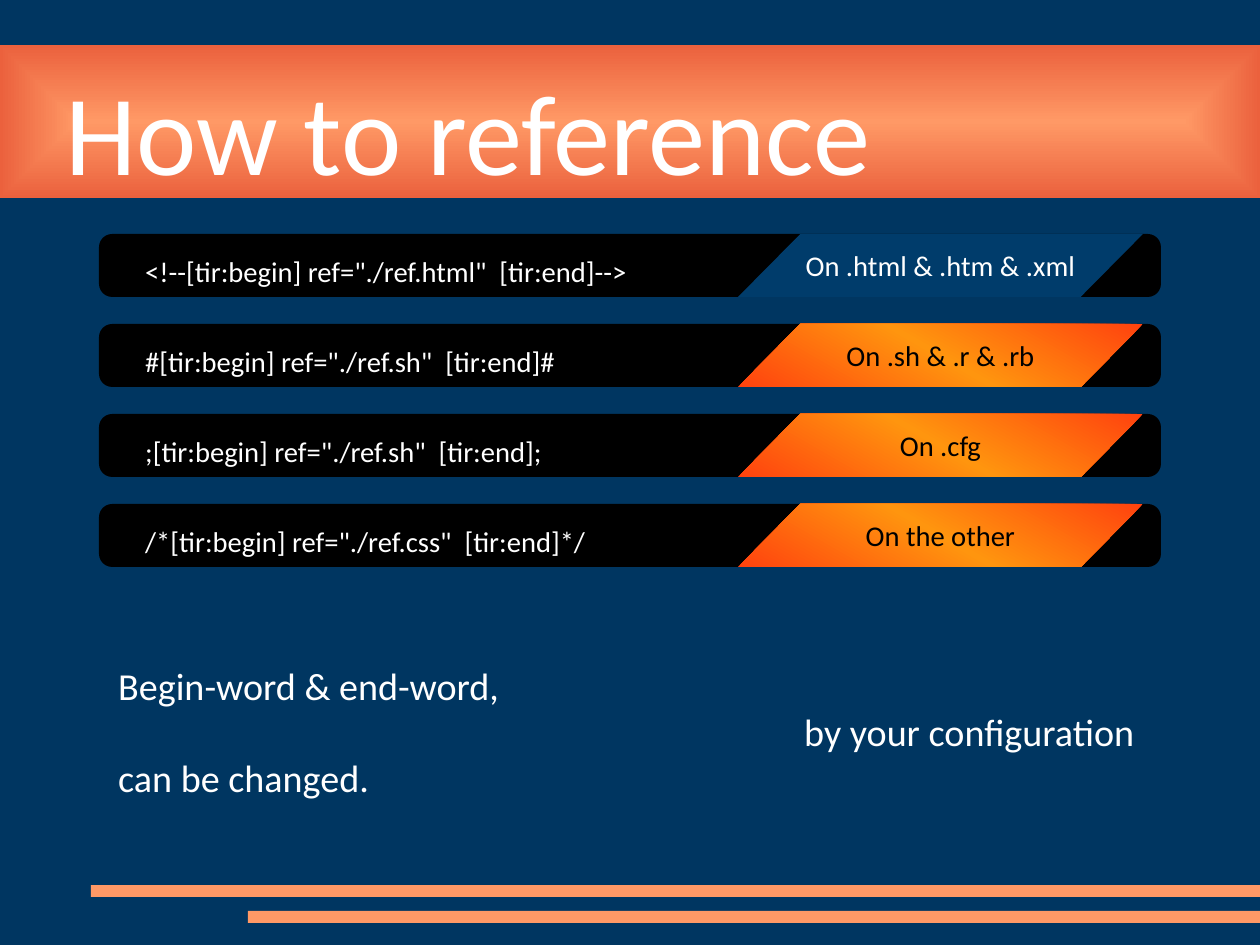
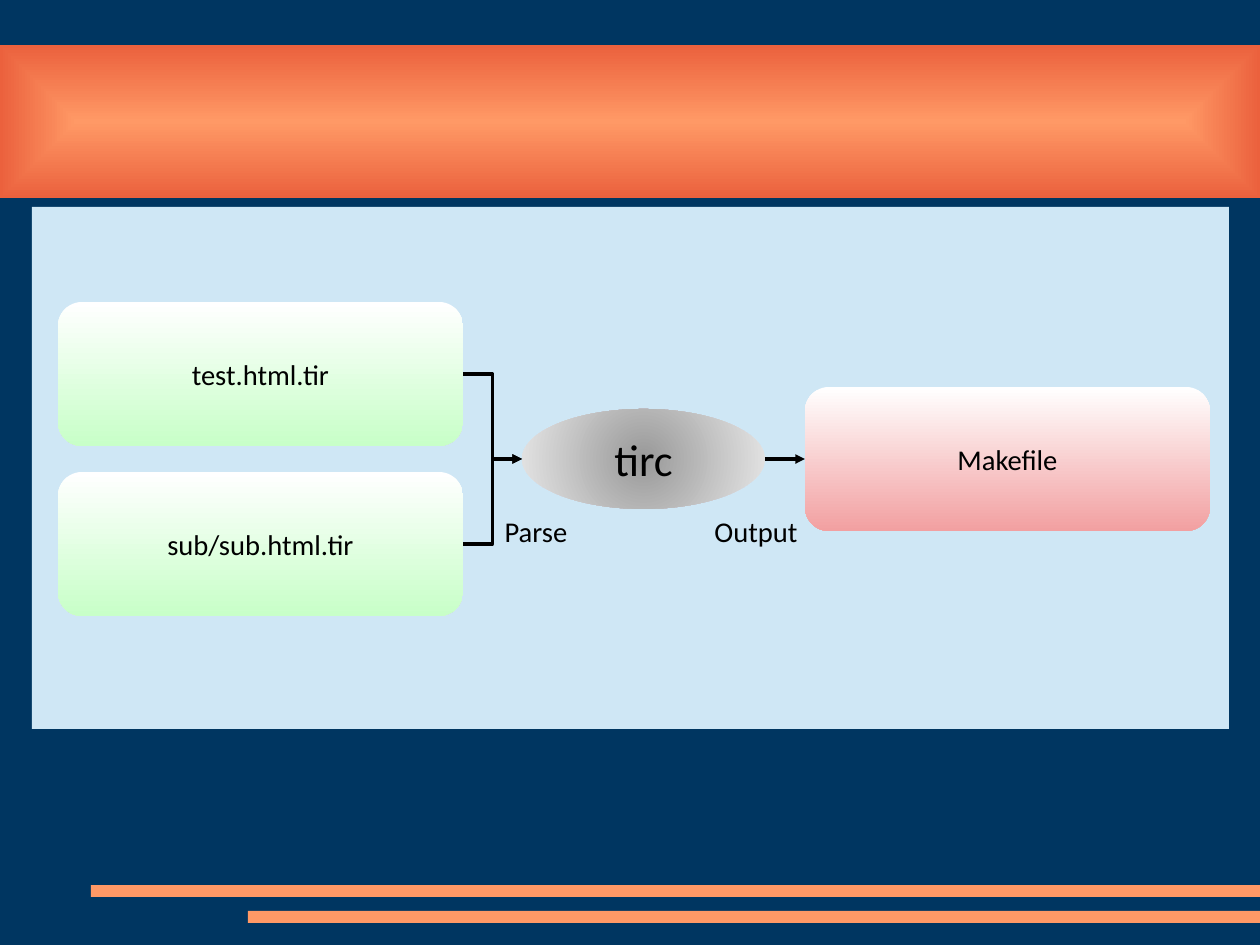
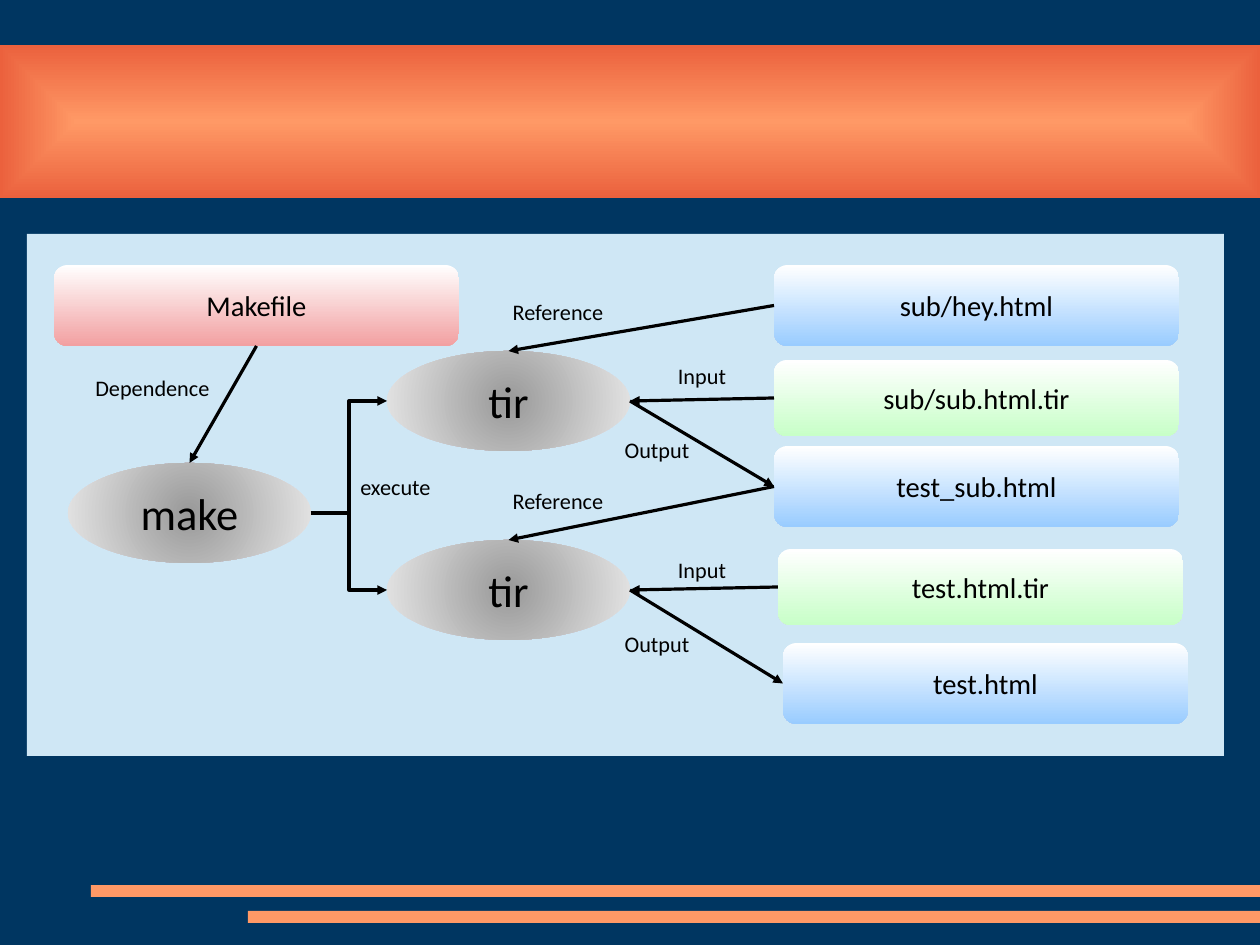
import dataclasses

import lxml.etree
import pptx
import pptx.dml.color
import pptx.enum.shapes
import pptx.enum.text
import pptx.oxml.ns
import pptx.util

PX = 8000  # EMU in one px
PRESET = pptx.enum.shapes.MSO_SHAPE
LINK = pptx.enum.shapes.MSO_CONNECTOR
ANCHOR = pptx.enum.text.MSO_ANCHOR
ALIGN = pptx.enum.text.PP_ALIGN
TOP, LEFT, BOTTOM, RIGHT = range(4)
qn = pptx.oxml.ns.qn


@dataclasses.dataclass(frozen=True)
class Gradient:
    stops: tuple
    angle: int = 0
    shade: str = ""  # "rect" or "circle" spreads from the centre


@dataclasses.dataclass(frozen=True)
class Theme:
    font: str = "Calibri"
    title_size: int = 72
    program_size: int = 28
    note_size: int = 24
    text_size: int = 18
    label_size: int = 14
    background: str = "003661"
    stripe: str = "FF9966"
    panel: str = "CFE7F5"
    dark: str = "000000"
    light: str = "FFFFFF"
    markup_tag: str = "003C6B"
    band: Gradient = Gradient(("FF9966", "EB613D"), shade="rect")
    script_tag: Gradient = Gradient(("FF420E", "FF950E", "FF420E"), 300)
    program: Gradient = Gradient(("999999", "E6E6E6"), shade="circle")
    source: Gradient = Gradient(("FFFFFF", "C8FFC8"), 90)
    page: Gradient = Gradient(("FFFFFF", "99CCFF"), 90)
    makefile: Gradient = Gradient(("FFFFFF", "F2A0A1"), 90)


THEME = Theme()
SLIDE_SIZE = (1260, 945)
FILE_WIDTH = 405
PROGRAM_SIZE = (243, 100)


# ---- Basic parts ----
def px(*lengths):
    return [pptx.util.Emu(length * PX) for length in lengths]


def rgb(code):
    return pptx.dml.color.RGBColor.from_string(code)


def assign(target, values):
    for name, value in values.items():
        setattr(target, name, value)


def within(region, x, y, *size):
    """Place a box relative to the corner of a region."""
    return (region[0] + x, region[1] + y, *size)


def paint(shape, fill):
    if isinstance(fill, str):
        shape.fill.solid()
        shape.fill.fore_color.rgb = rgb(fill)
        return
    shape.fill.background()
    properties = shape.element.spPr
    gradient = lxml.etree.Element(qn("a:gradFill"), rotWithShape="1")
    properties.replace(properties.find(qn("a:noFill")), gradient)
    stops = lxml.etree.SubElement(gradient, qn("a:gsLst"))
    for i, code in enumerate(fill.stops):
        position = 100000 * i // (len(fill.stops) - 1)
        stop = lxml.etree.SubElement(stops, qn("a:gs"), pos=str(position))
        lxml.etree.SubElement(stop, qn("a:srgbClr"), val=code)
    if fill.shade:
        spread = lxml.etree.SubElement(gradient, qn("a:path"))
        spread.set("path", fill.shade)
        lxml.etree.SubElement(spread, qn("a:fillToRect"),
                              {side: "50000" for side in "ltrb"})
    else:
        lxml.etree.SubElement(gradient, qn("a:lin"),
                              ang=str(fill.angle * 60000), scaled="0")


def write(shape, lines, size, color, align=ALIGN.CENTER,
          anchor=ANCHOR.MIDDLE, wrap=True):
    frame = shape.text_frame
    frame.text = lines
    assign(frame, {"word_wrap": wrap, "vertical_anchor": anchor,
                   "auto_size": pptx.enum.text.MSO_AUTO_SIZE.NONE})
    for paragraph in frame.paragraphs:
        paragraph.alignment = align
        for run in paragraph.runs:
            assign(run.font, {"name": THEME.font, "size": pptx.util.Pt(size)})
            run.font.color.rgb = rgb(color)


def add_block(slide, preset, box, fill, text="", size=THEME.text_size,
              color=THEME.dark, adjustment=None):
    block = slide.shapes.add_shape(preset, *px(*box))
    block.shadow.inherit = False
    block.line.fill.background()
    paint(block, fill)
    if adjustment is not None:
        block.adjustments[0] = adjustment
    if text:
        write(block, text, size, color, wrap=False)
    return block


def add_text(slide, box, text, size, color=THEME.dark, **layout):
    words = slide.shapes.add_textbox(*px(*box))
    write(words, text, size, color, **layout)
    return words


# ---- Diagram parts ----
def add_file(slide, box, name, fill):
    return add_block(slide, PRESET.ROUNDED_RECTANGLE, box, fill, name)


def add_program(slide, region, x, y, name):
    return add_block(slide, PRESET.OVAL, within(region, x, y, *PROGRAM_SIZE),
                     THEME.program, name, THEME.program_size)


def side_point(shape, side):
    middle = (shape.left + shape.width // 2, shape.top + shape.height // 2)
    return {TOP: (middle[0], shape.top),
            LEFT: (shape.left, middle[1]),
            BOTTOM: (middle[0], shape.top + shape.height),
            RIGHT: (shape.left + shape.width, middle[1])}[side]


def add_arrow(slide, start, start_side, end, end_side, kind=LINK.STRAIGHT):
    arrow = slide.shapes.add_connector(
        kind, *side_point(start, start_side), *side_point(end, end_side))
    if kind == LINK.STRAIGHT:
        for shape, side, join in ((start, start_side, arrow.begin_connect),
                                  (end, end_side, arrow.end_connect)):
            if shape.auto_shape_type == PRESET.ROUNDED_RECTANGLE:
                join(shape, side)
    arrow.line.color.rgb = rgb(THEME.dark)
    arrow.line.width = 0
    properties = arrow.element.spPr
    lxml.etree.SubElement(properties.find(qn("a:ln")), qn("a:tailEnd"),
                          type="triangle")
    lxml.etree.SubElement(properties, qn("a:effectLst"))


# ---- Shared look ----
def decorate_master(master, slide):
    """Draw the band and the foot stripes, then hand them to the master."""
    master.background.fill.solid()
    master.background.fill.fore_color.rgb = rgb(THEME.background)
    width = SLIDE_SIZE[0]
    parts = (((91, 885, width - 91, 12), THEME.stripe),
             ((248, 911, width - 248, 12), THEME.stripe),
             ((0, 45, width, 153), THEME.band))
    for i, (box, fill) in enumerate(parts):
        part = add_block(slide, PRESET.RECTANGLE, box, fill)
        part.element.nvSpPr.cNvPr.set("id", str(20 + i))
        master.shapes.element.insert(2 + i, part.element)


def set_title(slide, text, box):
    title = slide.shapes.title
    assign(title, dict(zip(("left", "top", "width", "height"), px(*box))))
    write(title, text, THEME.title_size, THEME.light, ALIGN.LEFT, ANCHOR.TOP)


# ---- Slide 1: reference syntax ----
def add_syntax_row(slide, row, code, files, tag_fill, tag_color):
    add_block(slide, PRESET.ROUNDED_RECTANGLE, row, THEME.dark,
              adjustment=0.21)
    add_text(slide, within(row, 35, 14, 1001, 50), code, THEME.text_size,
             THEME.light, align=ALIGN.LEFT, anchor=ANCHOR.TOP)
    add_block(slide, PRESET.PARALLELOGRAM, within(row, 639, 0, 405, row[3]),
              tag_fill, files, color=tag_color, adjustment=0.99)


def build_syntax(slide, region):
    set_title(slide, "How to reference", (54, 55, 1143, 167))
    script = (THEME.script_tag, THEME.dark)
    rows = (
        ('<!--[tir:begin] ref="./ref.html"  [tir:end]-->',
         "On .html & .htm & .xml", THEME.markup_tag, THEME.light),
        ('#[tir:begin] ref="./ref.sh"  [tir:end]#',
         "On .sh & .r & .rb", *script),
        (';[tir:begin] ref="./ref.sh"  [tir:end];', "On .cfg", *script),
        ('/*[tir:begin] ref="./ref.css"  [tir:end]*/',
         "On the other", *script),
    )
    for i, row in enumerate(rows):
        add_syntax_row(slide, within(region, 0, 90 * i, region[2], 63), *row)
    note = add_text(
        slide, within(region, 8, 423, 1080, 115),
        "Begin-word & end-word,\nby your configuration can be changed.",
        THEME.note_size, THEME.light, align=ALIGN.LEFT, anchor=ANCHOR.TOP)
    second_line = note.text_frame.paragraphs[1]
    second_line._p.get_or_add_pPr().set("indent", str(686 * PX))


# ---- Slide 2: from sources to the Makefile ----
def build_parse(slide, panel):
    add_block(slide, PRESET.RECTANGLE, panel, THEME.panel)
    height = 144
    sources = [
        add_file(slide, within(panel, 26, y, FILE_WIDTH, height), name,
                 THEME.source)
        for name, y in (("test.html.tir", 95), ("sub/sub.html.tir", 265))]
    makefile = add_file(slide, within(panel, 773, 180, FILE_WIDTH, height),
                        "Makefile", THEME.makefile)
    compiler = add_program(slide, panel, 490, 202, "tirc")
    for source in sources:
        add_arrow(slide, source, RIGHT, compiler, LEFT, LINK.ELBOW)
    add_arrow(slide, compiler, RIGHT, makefile, LEFT)
    for step, x in (("Parse", 405), ("Output", 625)):
        add_text(slide, within(panel, x, 293, 198, 63), step, THEME.text_size)


# ---- Slide 3: make runs tir ----
def build_make(slide, panel):
    add_block(slide, PRESET.RECTANGLE, panel, THEME.panel)

    # Files
    files = {
        name: add_file(slide, within(panel, x, y, FILE_WIDTH, height),
                       name, fill)
        for name, x, y, height, fill in (
            ("Makefile", 27, 31, 81, THEME.makefile),
            ("sub/hey.html", 747, 31, 81, THEME.page),
            ("sub/sub.html.tir", 747, 126, 76, THEME.source),
            ("test_sub.html", 747, 212, 81, THEME.page),
            ("test.html.tir", 751, 315, 76, THEME.source),
            ("test.html", 756, 409, 81, THEME.page))}

    # Make and what it depends on
    make = add_program(slide, panel, 41, 229, "make")
    add_arrow(slide, files["Makefile"], BOTTOM, make, TOP)
    labels = [("Dependence", 36, 131, 179, 45), ("execute", 279, 230, 179, 45)]

    # Two runs of tir, each with a reference, an input and an output
    runs = (("sub/hey.html", "sub/sub.html.tir", "test_sub.html"),
            ("test_sub.html", "test.html.tir", "test.html"))
    for i, (reference, source, output) in enumerate(runs):
        drop = 189 * i
        tir = add_program(slide, panel, 360, 117 + drop, "tir")
        add_arrow(slide, make, RIGHT, tir, LEFT, LINK.ELBOW)
        add_arrow(slide, files[reference], LEFT, tir, TOP)
        add_arrow(slide, files[source], LEFT, tir, RIGHT)
        add_arrow(slide, tir, RIGHT, files[output], LEFT)
        labels += [("Reference", 432, 49 + drop, 198, 58),
                   ("Input", 612, 117 + 194 * i, 126, 49),
                   ("Output", 567, 193 + 194 * i, 126, 45)]
    for text, *box in labels:
        add_text(slide, within(panel, *box), text, THEME.label_size)


def main():
    deck = pptx.Presentation()
    deck.slide_width, deck.slide_height = px(*SLIDE_SIZE)
    title_only, blank = deck.slide_layouts[5], deck.slide_layouts[6]
    pages = ((title_only, build_syntax, (99, 234, 1062, 333)),
             (blank, build_parse, (32, 207, 1197, 522)),
             (blank, build_make, (27, 234, 1197, 522)))
    for i, (layout, build, region) in enumerate(pages):
        slide = deck.slides.add_slide(layout)
        if i == 0:
            decorate_master(deck.slide_master, slide)
        build(slide, region)
    deck.save("out.pptx")


if __name__ == "__main__":
    main()
